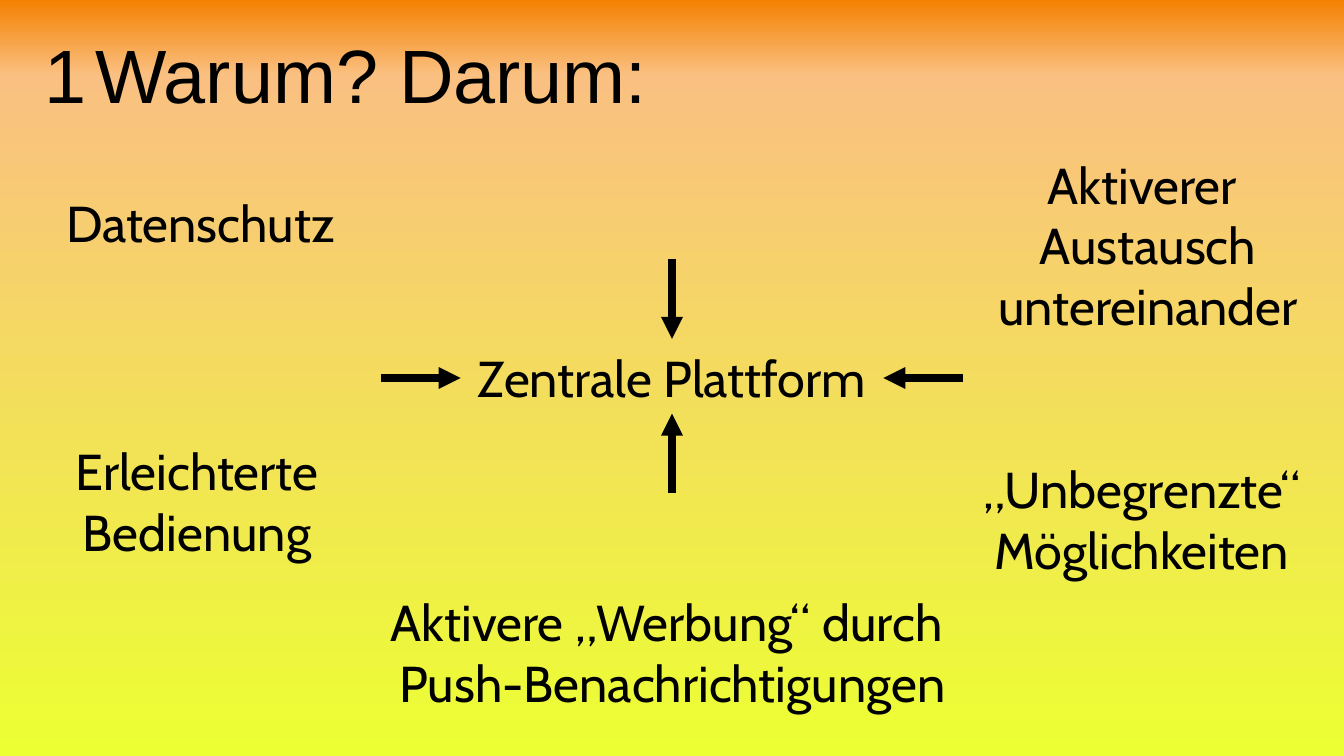
from copy import deepcopy
from dataclasses import dataclass

from lxml import etree
from pptx import Presentation
from pptx.dml.color import RGBColor
from pptx.enum.shapes import MSO_CONNECTOR
from pptx.enum.text import MSO_AUTO_SIZE, PP_ALIGN
from pptx.oxml.ns import qn
from pptx.util import Pt

STRAIGHT = MSO_CONNECTOR.STRAIGHT
LEFT, CENTER, RIGHT = PP_ALIGN.LEFT, PP_ALIGN.CENTER, PP_ALIGN.RIGHT
FIT_SHAPE = MSO_AUTO_SIZE.SHAPE_TO_FIT_TEXT

BLACK = RGBColor(0x00, 0x00, 0x00)
ORANGE = RGBColor(0xF4, 0x81, 0x02)
PEACH = RGBColor(0xFA, 0xC0, 0x81)
YELLOW = RGBColor(0xEC, 0xFF, 0x33)
BACKGROUND_STOPS = [(0, ORANGE), (0.1, PEACH), (1, YELLOW)]


@dataclass
class Reason:
    text: str
    left: float
    top: float
    width: float
    height: float
    align: PP_ALIGN = CENTER


@dataclass
class Arrow:
    start: tuple[float, float]
    end: tuple[float, float]
    site: int | None = None


PLATFORM = Reason("Zentrale Plattform", 329, 244.5, 302, 51)
REASONS = [
    Reason("Datenschutz", 34.5, 134, 212, 51, RIGHT),
    Reason("Aktiverer \nAustausch\nuntereinander", 700.5, 106.5, 239, 138),
    Reason("Erleichterte\nBedienung", 42.5, 311, 196.5, 94.5),
    Reason("„Unbegrenzte“\nMöglichkeiten", 692, 324, 247, 94.5),
    Reason("Aktivere „Werbung“ durch \nPush-Benachrichtigungen",
           260, 419, 440.5, 94.5),
]
ARROWS = [
    Arrow((480, 185), (480, 242)),
    Arrow((480, 352), (480, 295.5), 2),
    Arrow((688, 270), (631, 270), 3),
    Arrow((272, 270), (329, 270), 1),
]


def paint_background(s) -> None:
    fill = s.background.fill
    fill.gradient()
    fill.gradient_angle = 270
    first = fill.gradient_stops[0]._gs
    first.addnext(deepcopy(first))
    for stop, (position, color) in zip(fill.gradient_stops, BACKGROUND_STOPS):
        stop.position = position
        stop.color.rgb = color


def add_text(s, text: str, left: float, top: float, width: float,
             height: float, *, size: float = 36, font: str = "Cabin",
             align: PP_ALIGN = CENTER, wrap: bool = False):
    sp = s.shapes.add_textbox(Pt(left), Pt(top), Pt(width), Pt(height))
    tf = sp.text_frame
    tf.word_wrap = wrap
    tf.auto_size = FIT_SHAPE
    for i, line in enumerate(text.split("\n")):
        p = tf.add_paragraph() if i else tf.paragraphs[0]
        p.alignment = align
        r = p.add_run()
        r.text = line
        r.font.size = Pt(size)
        r.font.name = font
        r.font.color.rgb = BLACK
    return sp


def add_reason(s, reason: Reason):
    return add_text(s, reason.text, reason.left, reason.top, reason.width,
                    reason.height, align=reason.align)


def add_arrow(s, arrow: Arrow, target) -> None:
    cxn = s.shapes.add_connector(STRAIGHT, *map(Pt, arrow.start + arrow.end))
    if arrow.site is not None:
        cxn.end_connect(target, arrow.site)
    cxn.line.color.rgb = BLACK
    cxn.line.width = Pt(5.25)
    ln = cxn.line._get_or_add_ln()
    etree.SubElement(ln, qn("a:tailEnd"), type="triangle")
    etree.SubElement(ln.getparent(), qn("a:effectLst"))


def main() -> None:
    prs = Presentation()
    prs.slide_width, prs.slide_height = Pt(960), Pt(540)
    s = prs.slides.add_slide(prs.slide_layouts[6])
    paint_background(s)
    add_text(s, "1\tWarum? Darum:", 25, 16.5, 781, 72.5,
             size=54, font="Arial", align=LEFT, wrap=True)
    platform = add_reason(s, PLATFORM)
    for arrow in ARROWS:
        add_arrow(s, arrow, platform)
    for reason in REASONS:
        add_reason(s, reason)
    prs.save("out.pptx")


if __name__ == "__main__":
    main()
